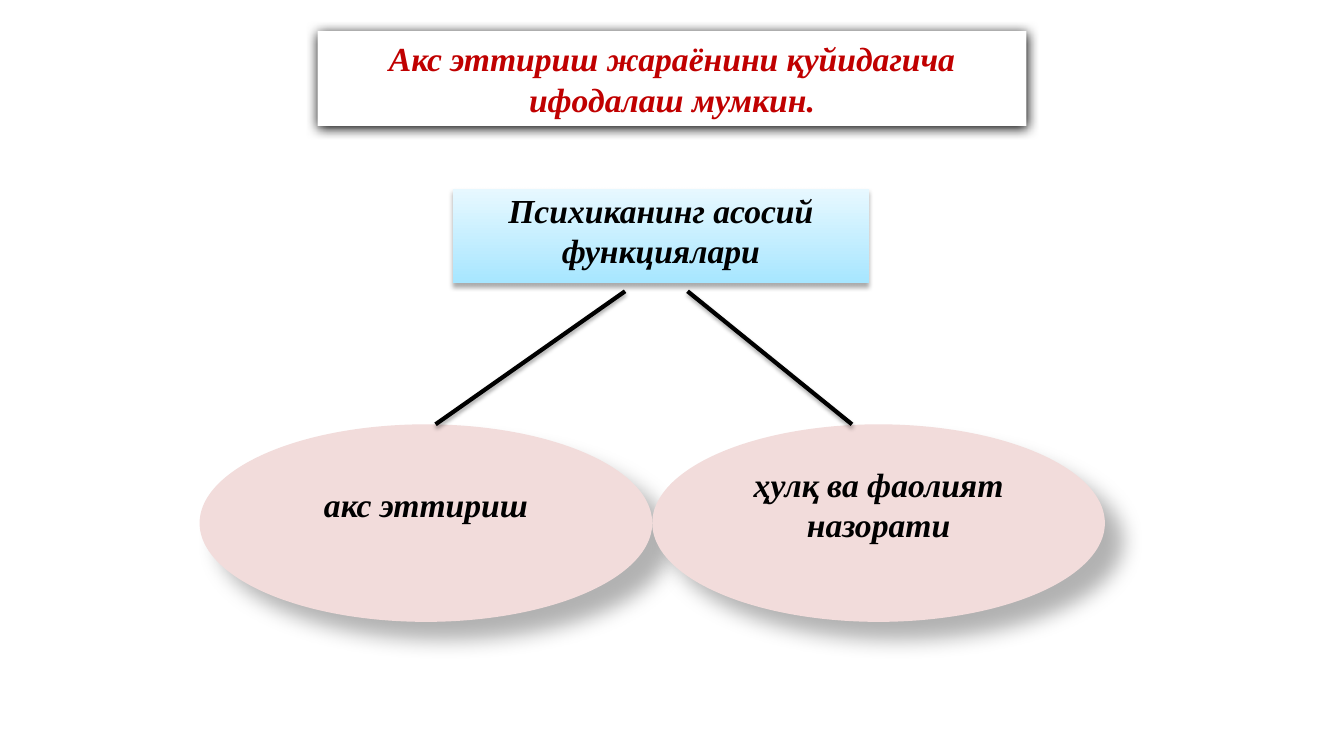
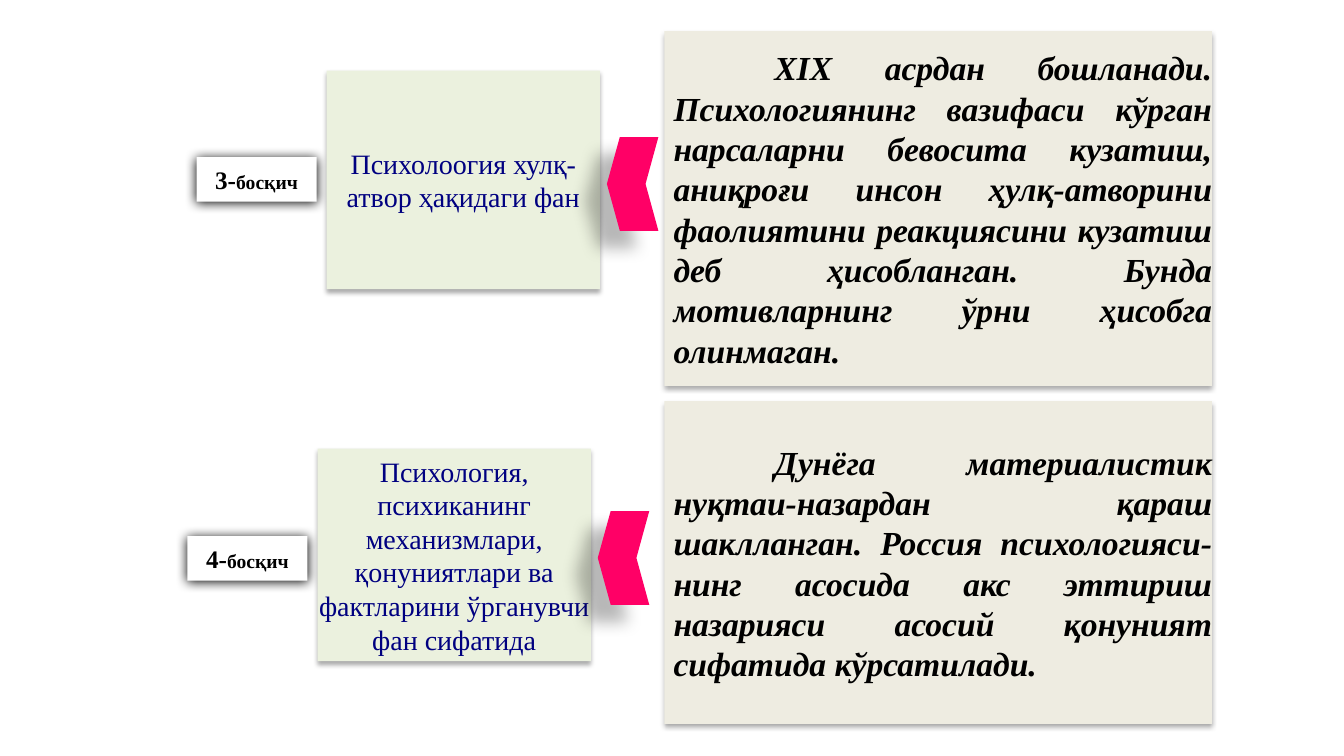
"""Build two slides on the functions of the psyche and the stages of psychology."""
from dataclasses import dataclass

from lxml import etree
from pptx import Presentation
from pptx import util as u
from pptx.dml.color import RGBColor
from pptx.enum import shapes, text
from pptx.oxml import ns


@dataclass(frozen=True)
class Theme:
    font: str = "Times New Roman"
    white: str = "FFFFFF"
    ink: str = "000000"
    red: str = "C00000"
    navy: str = "000080"
    rose: str = "F2DCDB"
    green: str = "EBF1DE"
    sand: str = "EEECE1"
    pink: str = "FF0066"
    sky: tuple = ("A7E6FF", "E7F8FF")
    large: int = 24
    medium: int = 20
    small: int = 18
    tiny: int = 14
    rule: int = 3
    glow: tuple = (100, 8.5, 1, 90)
    soft: tuple = (32, 3.5, 2.2, 90)
    drop: tuple = (30, 15, 18, 45)
    side: tuple = (28, 11.8, 19.7, 141)
    thin: tuple = (35, 3.1, 1.8, 90)


T = Theme()
deck = Presentation()
deck.slide_width, deck.slide_height = u.Inches(13.33), u.Inches(7.5)
COL, ROW = deck.slide_width / 100, deck.slide_height / 100
CENTER, JUSTIFY = text.PP_ALIGN.CENTER, text.PP_ALIGN.JUSTIFY


def dress(part, shadow, fill=None, box=None):
    """Place a part on the grid, fill it and cast its shadow."""
    if box:
        part.left, part.top, part.width, part.height = (
            round(n * unit) for n, unit in zip(box, (COL, ROW, COL, ROW)))
        part.line.fill.background()
        if isinstance(fill, tuple):
            part.fill.gradient()
            part.fill.gradient_angle = 90
            for stop, color in zip(part.fill.gradient_stops, fill):
                stop.color.rgb = RGBColor.from_string(color)
        else:
            part.fill.solid()
            part.fill.fore_color.rgb = RGBColor.from_string(fill)
    alpha, blur, dist, angle = shadow
    effects = etree.SubElement(part._element.spPr, ns.qn("a:effectLst"))
    outer = etree.SubElement(
        effects, ns.qn("a:outerShdw"), blurRad=str(u.Pt(blur)), dist=str(u.Pt(dist)),
        dir=str(angle * 60000), algn="ctr", rotWithShape="0")
    color = etree.SubElement(outer, ns.qn("a:srgbClr"), val=T.ink)
    etree.SubElement(color, ns.qn("a:alpha"), val=str(alpha * 1000))
    return part


def write(part, pieces, color=T.ink, bold=True, italic=True, align=CENTER,
          anchor=text.MSO_ANCHOR.MIDDLE, inset=0, after=10):
    """Set one paragraph of (words, size) pieces."""
    frame = part.text_frame
    frame.word_wrap, frame.auto_size = True, text.MSO_AUTO_SIZE.NONE
    frame.vertical_anchor = anchor
    frame.margin_left = frame.margin_right = u.Inches(inset)
    frame.margin_top = frame.margin_bottom = u.Inches(inset / 2)
    paragraph = frame.paragraphs[0]
    paragraph.alignment, paragraph.space_after = align, u.Pt(after)
    for words, size in pieces:
        run = paragraph.add_run()
        run.text = words
        run.font.name, run.font.size = T.font, u.Pt(size)
        run.font.bold, run.font.italic = bold, italic
        run.font.color.rgb = RGBColor.from_string(color)
    return paragraph


functions = deck.slides.add_slide(deck.slide_layouts[5])
title = functions.shapes.title
dress(title, T.glow, T.white, (23.63, 4.13, 52.74, 12.53))
outline = etree.Element(ns.qn("a:prstGeom"), prst="roundRect")
etree.SubElement(outline, ns.qn("a:avLst"))
title._element.spPr.insert(1, outline)
write(title, [("Акс эттириш жараёнини қуйидагича ифодалаш мумкин.", T.large)],
      T.red, inset=0.1, after=0)

root = functions.shapes.add_shape(shapes.MSO_SHAPE.RECTANGLE, 0, 0, 0, 0)
dress(root, T.soft, T.sky, (33.68, 25.07, 30.98, 12.4))
write(root, [("Психиканинг асосий функциялари", T.large)], anchor=text.MSO_ANCHOR.TOP)

BRANCH_LEFT, BRANCH_TOP, BRANCH_WIDTH, BRANCH_HEIGHT = 14.85, 56.13, 33.68, 26.13
branches = [("акс эттириш", 46.51, 32.41), ("ҳулқ ва фаолият назорати", 51.16, 63.39)]
for index, (words, start, end) in enumerate(branches):
    branch = functions.shapes.add_shape(shapes.MSO_SHAPE.OVAL, 0, 0, 0, 0)
    dress(branch, T.drop, T.rose,
          (BRANCH_LEFT + index * BRANCH_WIDTH, BRANCH_TOP, BRANCH_WIDTH, BRANCH_HEIGHT))
    write(branch, [(words, T.large)], inset=0.1, after=0)
    branch.text_frame.margin_bottom = u.Inches(0.43)
    link = functions.shapes.add_connector(
        shapes.MSO_CONNECTOR.STRAIGHT, round(start * COL), round(38.53 * ROW),
        round(end * COL), round(BRANCH_TOP * ROW))
    link.line.color.rgb = RGBColor.from_string(T.ink)
    link.line.width = u.Pt(T.rule)
    dress(link, T.thin)

stages = deck.slides.add_slide(deck.slide_layouts[6])
rows = [
    ("3-", 0, 20.8, (9.33, 28.93), 18.13, (4.13, 46.93),
     "Психолоогия хулқ-атвор ҳақидаги фан",
     "XIX асрдан бошланади. Психологиянинг вазифаси кўрган нарсаларни бевосита "
     "кузатиш, аниқроғи инсон ҳулқ-атворини фаолиятини реакциясини кузатиш деб "
     "ҳисобланган. Бунда мотивларнинг ўрни ҳисобга олинмаган."),
    ("4-", -0.68, 70.93, (59.33, 28.13), 67.6, (53.07, 42.67),
     "Психология, психиканинг механизмлари, қонуниятлари ва фактларини ўрганувчи "
     "фан сифатида",
     "Дунёга материалистик нуқтаи-назардан қараш шаклланган. Россия "
     "психологияси-нинг асосида акс эттириш назарияси асосий қонуният сифатида "
     "кўрсатилади."),
]
for number, shift, label_top, subject_span, arrow_top, detail_span, subject_words, detail_words in rows:
    label, subject, detail = (
        stages.shapes.add_shape(shapes.MSO_SHAPE.RECTANGLE, 0, 0, 0, 0) for _ in range(3))
    dress(label, T.glow, T.white, (14.63 + shift, label_top, 8.93, 5.87))
    write(label, [(number, T.small), ("босқич", T.tiny)], italic=False)

    dress(subject, T.soft, T.green, (24.31 + shift, subject_span[0], 20.33, subject_span[1]))
    write(subject, [(subject_words, T.medium)], T.navy, bold=False, italic=False)

    dress(detail, T.soft, T.sand, (49.44, detail_span[0], 40.74, detail_span[1]))
    first_line = write(detail, [(detail_words, T.large)], align=JUSTIFY)
    indents = first_line._p.get_or_add_pPr()
    indents.set("marL", str(u.Inches(0.09)))
    indents.set("indent", str(u.Inches(1)))

    arrow = stages.shapes.add_shape(shapes.MSO_SHAPE.CHEVRON, 0, 0, 0, 0)
    arrow.adjustments[0] = 0.25
    dress(arrow, T.side, T.pink, (45.16 + shift, arrow_top, 3.83, 12.4))
    arrow._element.spPr.find(ns.qn("a:xfrm")).set("flipH", "1")

deck.save("out.pptx")
